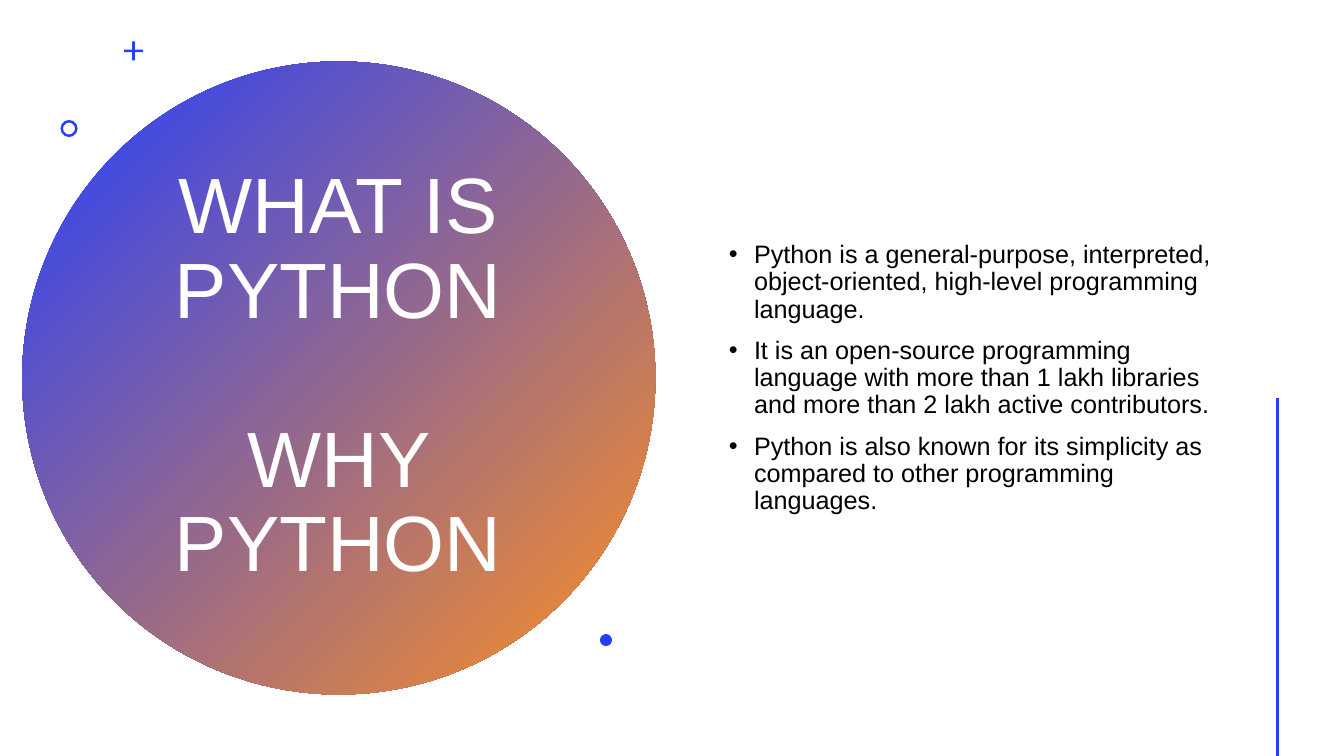
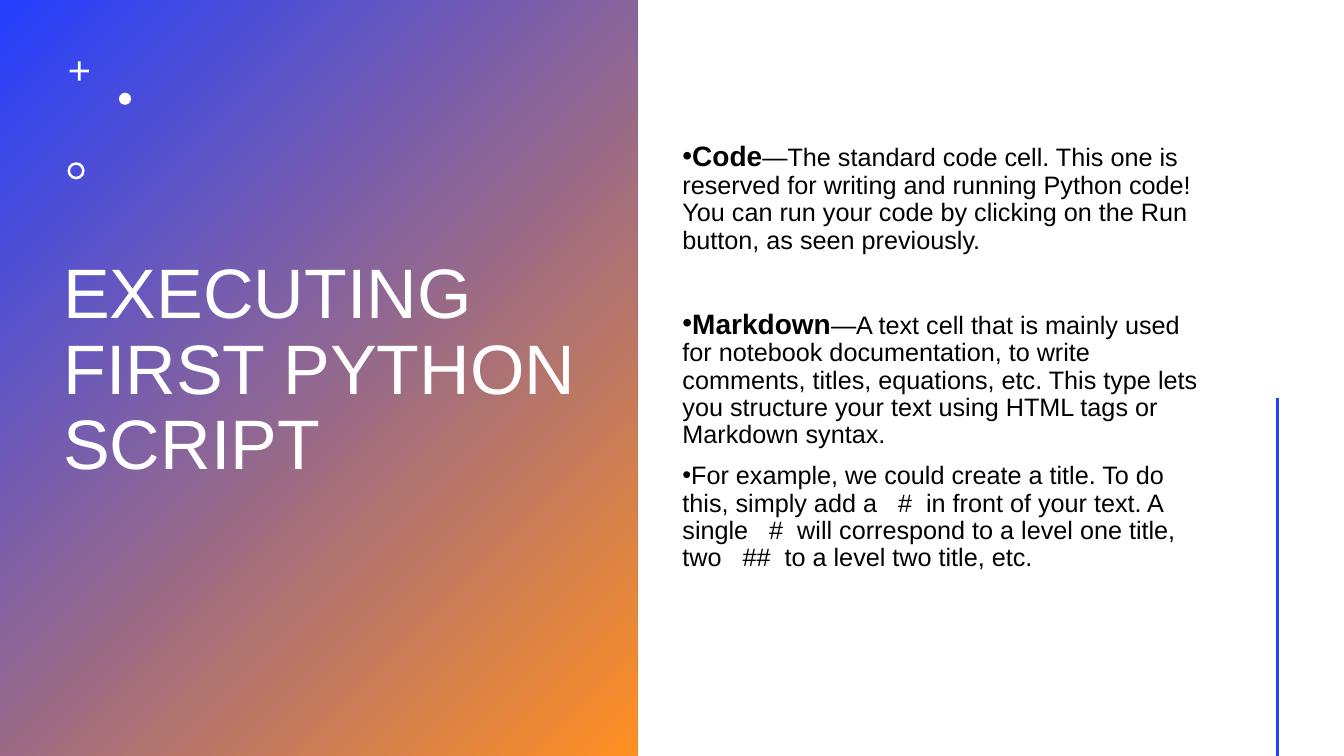
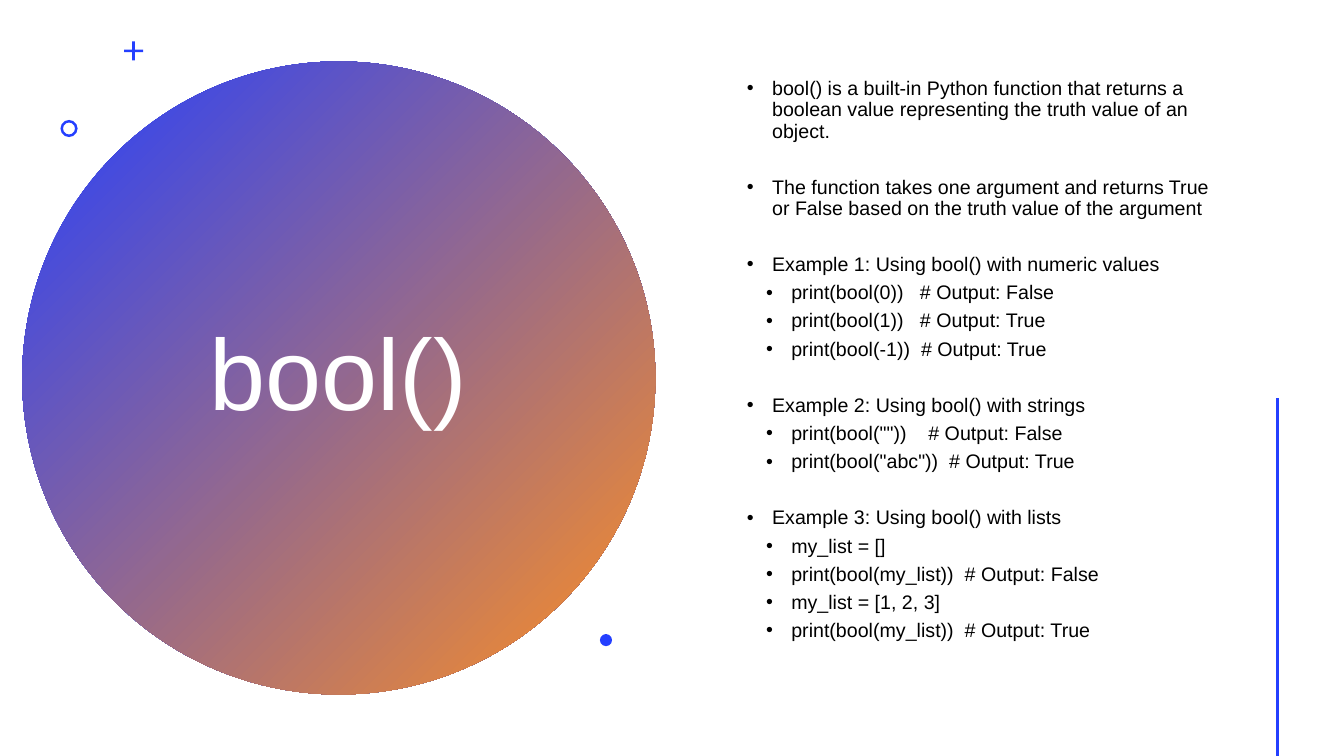
from lxml.etree import SubElement
from pptx import Presentation
from pptx.dml.color import RGBColor
from pptx.enum.shapes import MSO_CONNECTOR, MSO_SHAPE as Preset
from pptx.enum.text import MSO_ANCHOR as Anchor, PP_ALIGN as Align
from pptx.oxml.ns import qn
from pptx.util import Inches, Pt

COLORS = {"blue": "243FFF", "orange": "FF9022", "white": "FFFFFF", "black": "000000"}
FONT = "Arial"
WIDTH, HEIGHT = 13.33, 7.5


def color(name):
    return RGBColor.from_string(COLORS[name])


def set_bullet(paragraph, margin):
    properties = paragraph._p.get_or_add_pPr()
    properties.set("marL", str(Inches(margin)))
    properties.set("indent", str(Inches(-0.25)))
    SubElement(properties, qn("a:buFont")).set("typeface", FONT)
    SubElement(properties, qn("a:buChar")).set("char", "•")


def write_text(frame, text, first=False, lead="", size=18, lead_size=20, ink="black",
               align=Align.LEFT, before=0, margin=None):
    paragraph = frame.paragraphs[0] if first else frame.add_paragraph()
    paragraph.alignment = align
    paragraph.line_spacing = 0.9
    paragraph.space_before = Pt(0 if first else before)
    if margin is not None:
        set_bullet(paragraph, margin)
    for words, points, bold in ((lead, lead_size, True), (text, size, False)):
        if words:
            run = paragraph.add_run()
            run.text = words
            run.font.name = FONT
            run.font.size = Pt(points)
            run.font.bold = bold
            run.font.color.rgb = color(ink)


class Deck:
    def __init__(self):
        self.presentation = Presentation()
        self.presentation.slide_width = Inches(WIDTH)
        self.presentation.slide_height = Inches(HEIGHT)
        self.slide = None

    def new_slide(self):
        self.slide = self.presentation.slides.add_slide(self.presentation.slide_layouts[6])
        self.side_line()

    def side_line(self):
        x = Inches(12.67)
        line = self.slide.shapes.add_connector(
            MSO_CONNECTOR.STRAIGHT, x, Inches(3.95), x, Inches(HEIGHT))
        line.line.color.rgb = color("blue")
        line.line.width = Pt(2)
        SubElement(line._element.spPr, qn("a:effectLst"))

    def shape(self, preset, left, top, width, height):
        shape = self.slide.shapes.add_shape(
            preset, Inches(left), Inches(top), Inches(width), Inches(height))
        shape.shadow.inherit = False
        shape.line.fill.background()
        return shape

    def gradient_panel(self, preset, left, top, width, height):
        fill = self.shape(preset, left, top, width, height).fill
        fill.gradient()
        fill.gradient_angle = 315
        for stop, position, name in zip(fill.gradient_stops, (0, 1), ("blue", "orange")):
            stop.position = position
            stop.color.rgb = color(name)

    def mark(self, preset, left, top, size, ink, adjustment=None):
        shape = self.shape(preset, left, top, size, size)
        shape.fill.solid()
        shape.fill.fore_color.rgb = color(ink)
        if adjustment is not None:
            shape.adjustments[0] = adjustment

    def marks(self, ink, plus, ring, dot):
        self.mark(Preset.CROSS, *plus, 0.19, ink, 0.43)
        self.mark(Preset.DONUT, *ring, 0.17, ink, 0.15)
        self.mark(Preset.OVAL, *dot, 0.12, ink)

    def text_box(self, left, top, width, height):
        frame = self.slide.shapes.add_textbox(
            Inches(left), Inches(top), Inches(width), Inches(height)).text_frame
        frame.word_wrap = True
        frame.vertical_anchor = Anchor.MIDDLE
        return frame

    def title(self, lines, left, top, width, height, size, align=Align.LEFT):
        frame = self.text_box(left, top, width, height)
        for index, line in enumerate(lines):
            write_text(frame, line, first=index == 0, size=size, ink="white",
                       align=align, before=60)

    def circle_slide(self, lines, size):
        self.new_slide()
        self.gradient_panel(Preset.OVAL, 0.22, 0.61, 6.28, 6.28)
        self.title(lines, 1.36, 1.41, 3.99, 4.67, size, Align.CENTER)
        self.marks("blue", plus=(1.23, 0.41), ring=(0.6, 1.19), dot=(5.95, 6.29))

    def body(self, items, left, top, width):
        frame = self.text_box(left, top, width, 6.53)
        for index, item in enumerate(items):
            write_text(frame, first=index == 0, **item)


def python_slide(deck):
    deck.circle_slide(["WHAT IS PYTHON", "WHY PYTHON"], 56)
    points = [
        "Python is a general-purpose, interpreted, object-oriented, high-level "
        "programming language.",
        "It is an open-source programming language with more than 1 lakh libraries "
        "and more than 2 lakh active contributors.",
        "Python is also known for its simplicity as compared to other programming "
        "languages.",
    ]
    deck.body([dict(text=point, before=10, margin=0.38) for point in points], 7, 0.49, 5.12)


def script_slide(deck):
    deck.new_slide()
    deck.gradient_panel(Preset.RECTANGLE, 0, 0, 6.32, HEIGHT)
    deck.title(["EXECUTING FIRST PYTHON SCRIPT"], 0.53, 0.42, 5.79, 6.53, 50)
    deck.marks("white", plus=(0.69, 0.61), ring=(0.67, 1.61), dot=(1.18, 0.92))
    cells = [
        ("Code", "—The standard code cell. This one is reserved for writing and running "
         "Python code! You can run your code by clicking on the Run button, as seen "
         "previously.", 0),
        ("Markdown", "—A text cell that is mainly used for notebook documentation, to write "
         "comments, titles, equations, etc. This type lets you structure your text using "
         "HTML tags or Markdown syntax.", 39.5),
        ("", "For example, we could create a title. To do this, simply add a   #  in front "
         "of your text. A single   #  will correspond to a level one title, two   ##  to a "
         "level two title, etc.", 10),
    ]
    deck.body([dict(lead=lead, text=text, before=before, margin=0)
               for lead, text, before in cells], 6.67, 0.28, 5.45)


def bool_slide(deck):
    deck.circle_slide(["bool()"], 72)
    groups = [
        ("bool() is a built-in Python function that returns a boolean value representing "
         "the truth value of an object.", []),
        ("The function takes one argument and returns True or False based on the truth "
         "value of the argument", []),
        ("Example 1: Using bool() with numeric values", [
            "print(bool(0))   # Output: False",
            "print(bool(1))   # Output: True",
            "print(bool(-1))  # Output: True"]),
        ("Example 2: Using bool() with strings", [
            'print(bool(""))    # Output: False',
            'print(bool("abc"))  # Output: True']),
        ("Example 3: Using bool() with lists", [
            "my_list = []",
            "print(bool(my_list))  # Output: False",
            "my_list = [1, 2, 3]",
            "print(bool(my_list))  # Output: True"]),
    ]
    items = []
    for heading, code_lines in groups:
        items.append(dict(text=heading, size=14, before=25, margin=0.56))
        items += [dict(text=code, size=14, before=5, margin=0.75) for code in code_lines]
    deck.body(items, 7, 0.31, 5.12)


def main():
    deck = Deck()
    python_slide(deck)
    script_slide(deck)
    bool_slide(deck)
    deck.presentation.save("out.pptx")


if __name__ == "__main__":
    main()
